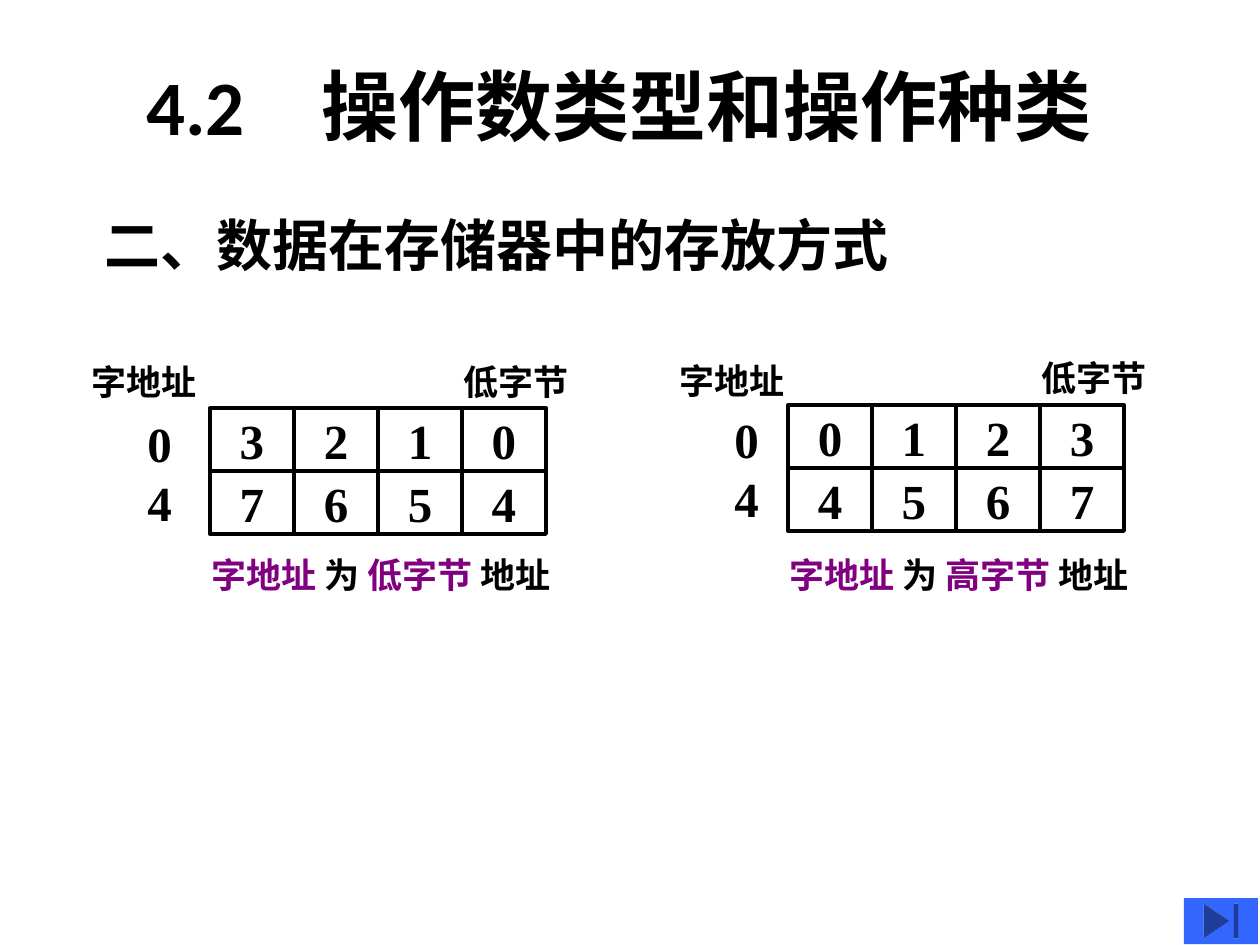
"""Build the slide on how data words are stored in memory."""
import pptx
import pptx.dml.color
import pptx.enum.shapes
import pptx.enum.text
import pptx.util

BLACK = pptx.dml.color.RGBColor(0x00, 0x00, 0x00)
PURPLE = pptx.dml.color.RGBColor(0x80, 0x00, 0x80)
BLUE = pptx.dml.color.RGBColor(0x33, 0x66, 0xFF)
SHAPES = pptx.enum.shapes.MSO_SHAPE
CENTER = pptx.enum.text.PP_ALIGN.CENTER
MIDDLE = pptx.enum.text.MSO_ANCHOR.MIDDLE
GROW = pptx.enum.text.MSO_AUTO_SIZE.SHAPE_TO_FIT_TEXT

PIXEL = 914400 / 126
CELL_WIDTH, CELL_HEIGHT = 84, 63

TITLE = "4.2\u3000操作数类型和操作种类"
HEADING = "二、数据在存储器中的存放方式"
WORD_LABEL, BYTE_LABEL = "字地址", "低字节"
WORD_ADDRESSES = ["0", "4"]
LAYOUTS = [
    {"grid": (210, 408), "rows": ["3210", "7654"], "named_byte": "低字节",
     "word": (79, 354), "addresses": (135, 407), "byte": (451, 354),
     "caption": (199, 547, 388, 54)},
    {"grid": (788, 405), "rows": ["0123", "4567"], "named_byte": "高字节",
     "word": (667, 353), "addresses": (722, 403), "byte": (1029, 350),
     "caption": (777, 547, 431, 54)},
]


def emu(*pixels):
    return [round(value * PIXEL) for value in pixels]


def write(shape, paragraphs, size=20, font="Times New Roman", align=None,
          anchor=None, wrap=False, grow=True):
    frame = shape.text_frame
    frame.word_wrap = wrap
    if grow:
        frame.auto_size = GROW
    if anchor is not None:
        frame.vertical_anchor = anchor
    for index, spans in enumerate(paragraphs):
        para = frame.add_paragraph() if index else frame.paragraphs[0]
        para.alignment = align
        for text, color in spans:
            span = para.add_run()
            span.text = text
            span.font.size = pptx.util.Pt(size)
            span.font.name = font
            span.font.bold = True
            span.font.color.rgb = color


def add_text(shapes, place, paragraphs, **style):
    write(shapes.add_textbox(*emu(*place)), paragraphs, **style)


def add_cell(shapes, place, digit):
    cell = shapes.add_shape(SHAPES.RECTANGLE, *emu(*place))
    cell.shadow.inherit = False
    cell.fill.background()
    cell.line.color.rgb = BLACK
    cell.line.width = pptx.util.Pt(2.25)
    write(cell, [[(digit, BLACK)]], size=28, align=CENTER, anchor=MIDDLE, grow=False)


def add_layout(page, layout):
    caption = [("字地址 ", PURPLE), ("为", BLACK),
               (f" {layout['named_byte']} ", PURPLE), ("地址", BLACK)]
    add_text(page.shapes, layout["caption"], [caption], wrap=True)
    shapes = page.shapes.add_group_shape().shapes
    left, top = layout["grid"]
    for row, digits in enumerate(layout["rows"]):
        for column, digit in enumerate(digits):
            add_cell(shapes, (left + column * CELL_WIDTH, top + row * CELL_HEIGHT,
                              CELL_WIDTH, CELL_HEIGHT), digit)
    add_text(shapes, (*layout["word"], 131, 54), [[(WORD_LABEL, BLACK)]])
    add_text(shapes, (*layout["addresses"], 50, 130),
             [[(address, BLACK)] for address in WORD_ADDRESSES], size=28)
    add_text(shapes, (*layout["byte"], 168, 54), [[(BYTE_LABEL, BLACK)]], wrap=True)


deck = pptx.Presentation()
deck.slide_width, deck.slide_height = emu(1260, 945)
page = deck.slides.add_slide(deck.slide_layouts[6])

add_text(page.shapes, (84, 26, 1071, 158), [[(TITLE, BLACK)]], size=44,
         font="Calibri", align=CENTER, anchor=MIDDLE, wrap=True, grow=False)
add_text(page.shapes, (92, 204, 813, 79), [[(HEADING, BLACK)]], size=32)
for layout in LAYOUTS:
    add_layout(page, layout)

button = page.shapes.add_shape(SHAPES.ACTION_BUTTON_END, *emu(1184, 898, 74, 46))
button.shadow.inherit = False
button.fill.solid()
button.fill.fore_color.rgb = BLUE
button.line.fill.background()

deck.save("out.pptx")
